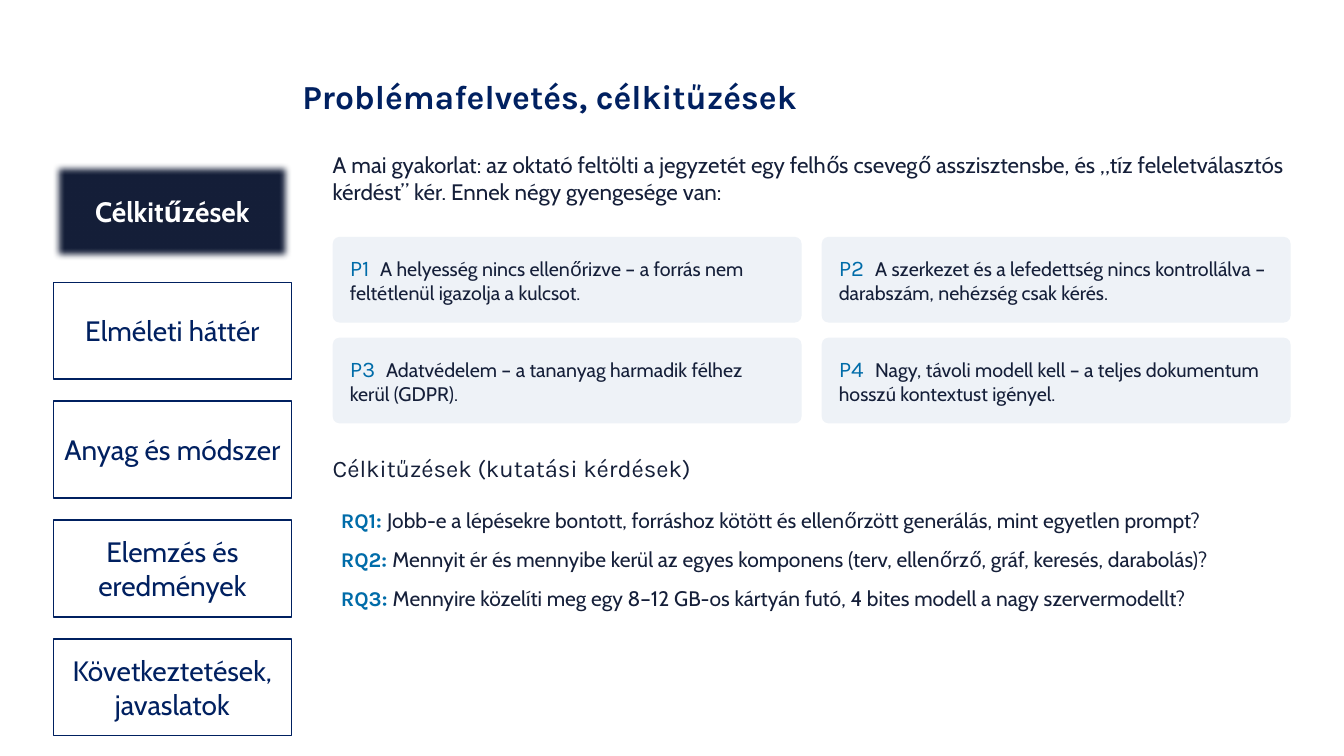
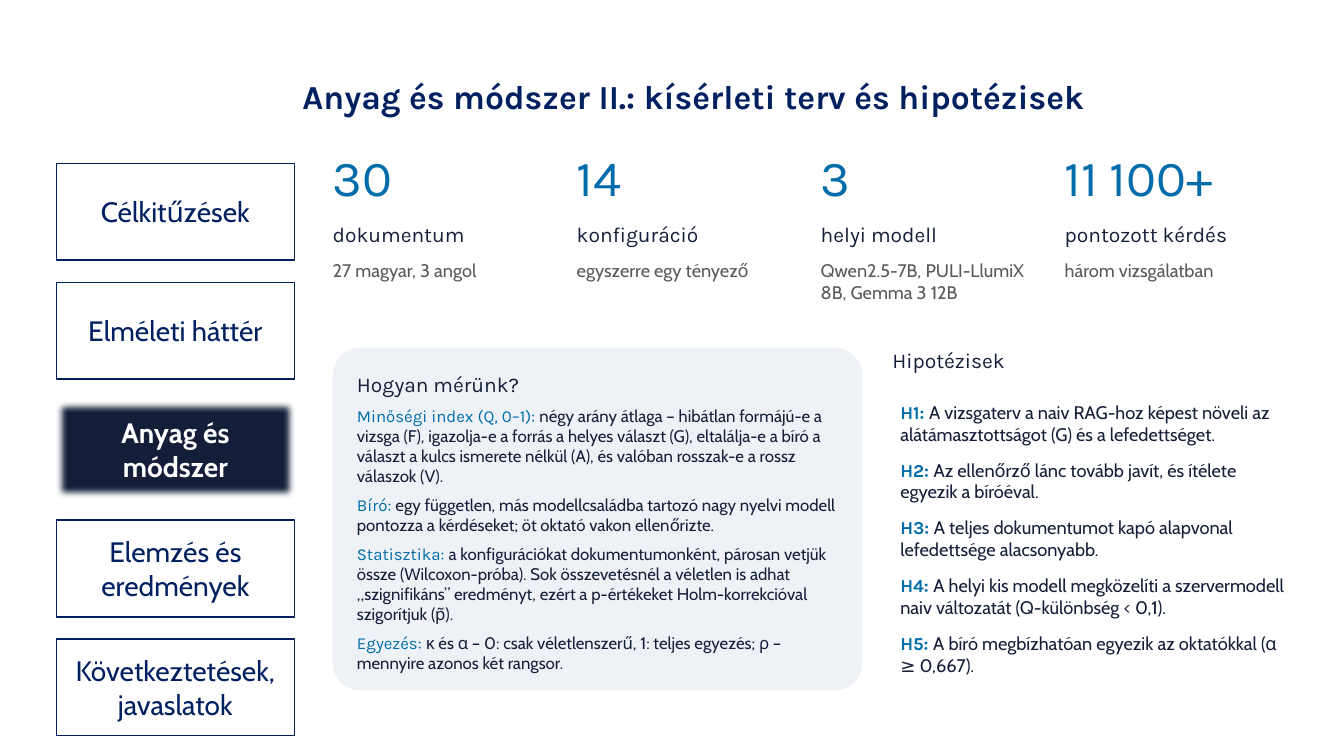
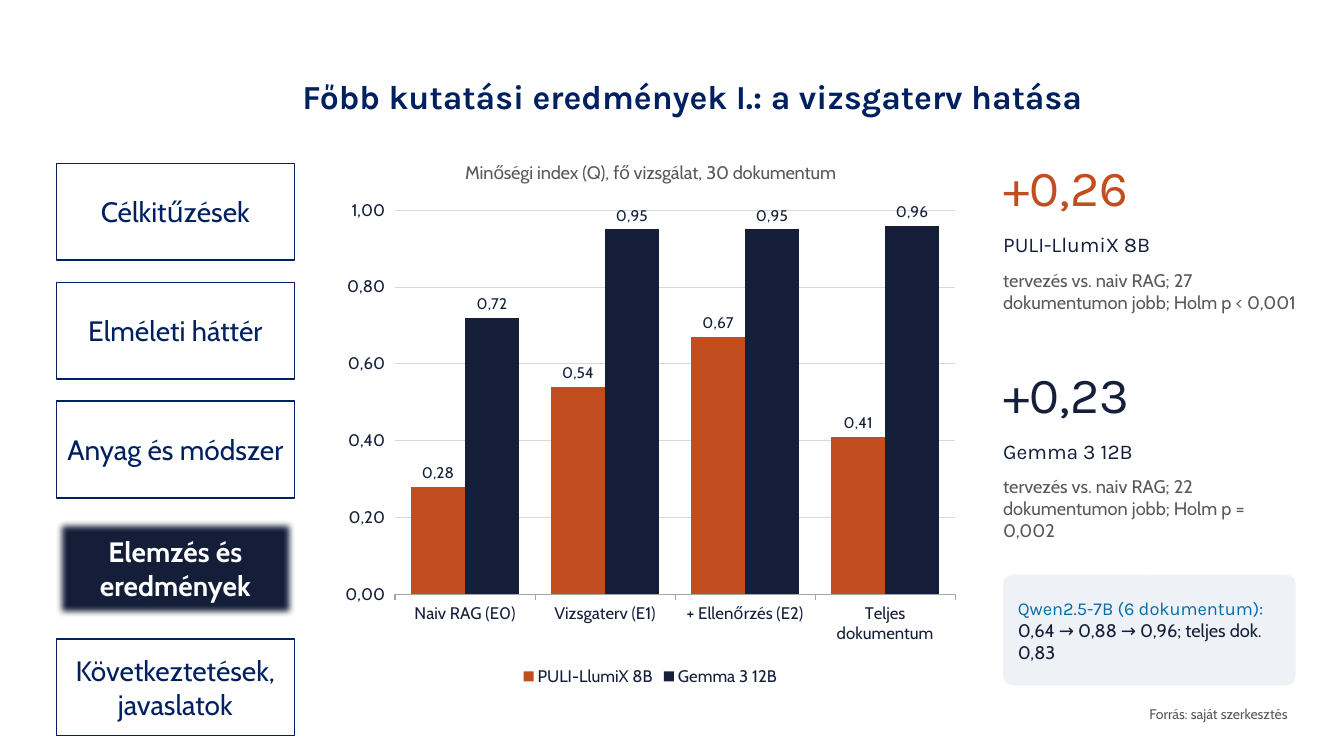
"""Build three slides of a Hungarian thesis talk on exam question generation."""
from lxml.etree import SubElement as Sub
from pptx import Presentation
from pptx.chart.data import CategoryChartData as Data
from pptx.dml.color import RGBColor as RGB
from pptx.enum.chart import XL_CHART_TYPE as Kind, XL_LABEL_POSITION as Spot
from pptx.enum.chart import XL_LEGEND_POSITION as Side, XL_TICK_MARK as Tick
from pptx.enum.shapes import MSO_SHAPE as Form
from pptx.enum.text import MSO_ANCHOR as Anchor, MSO_AUTO_SIZE as Fit, PP_ALIGN as Align
from pptx.oxml.ns import qn
from pptx.util import Inches, Pt

COLORS = {"navy": "002060", "ink": "151F39", "blue": "006CA9", "rust": "C24E1F",
          "gray": "595959", "pale": "EEF2F7", "white": "FFFFFF",
          "axis": "A5A5A5", "grid": "D9D9D9"}
HEAD, BODY = "Karla", "Cabin"
TABS = ["Célkitűzések", "Elméleti háttér", "Anyag és módszer",
        "Elemzés és eredmények", "Következtetések, javaslatok"]
NUM = '0","00'


def rgb(key):
    """Return the colour stored under a key."""
    return RGB.from_string(COLORS[key])


def style(font, color, **fmt):
    """Set the colour and format values of a font."""
    font.color.rgb = rgb(color)
    for key, val in fmt.items():
        setattr(font, key, val)


def part(text, size, color="ink", name=BODY, bold=False):
    """Describe one run of text."""
    return text, dict(size=Pt(size), color=color, name=name, bold=bold)


def pair(label, text, size, bold=False, big=None):
    """Describe a paragraph with a blue label in front."""
    return [part(label, big or size, "blue", HEAD, bold), part(text, size)]


class Deck:
    """Hold the presentation, its style and the current slide."""

    def __init__(self):
        """Start a wide presentation."""
        self.prs = Presentation()
        self.prs.slide_width, self.prs.slide_height = Inches(13.33), Inches(7.5)

    def start(self, title, now, left=0.56, layout=1):
        """Add a slide with its title and side tabs."""
        self.slide = self.prs.slides.add_slide(self.prs.slide_layouts[layout])
        head = self.slide.shapes.title
        self.place(head, 2.9, 0.76, 9.95, 0.5)
        self.label(head, [[part(title, 24, "navy", HEAD, True)]],
                   pad=0.1, anchor=Anchor.BOTTOM, after=0, space=0.9)
        for row, name in enumerate(TABS):
            self.tab(left, 1.62 + 1.18 * row, name, row == now)

    def place(self, shape, *box):
        """Move and size a shape."""
        for key, val in zip(("left", "top", "width", "height"), box):
            setattr(shape, key, Inches(val))

    def label(self, shape, paras, pad=0, anchor=Anchor.TOP, align=Align.LEFT,
              after=6, space=1, stop=None):
        """Fill a shape with paragraphs of runs."""
        frame = shape.text_frame
        vals = {"margin_" + side: Inches(pad) for side in ("left", "top", "right", "bottom")}
        vals.update(word_wrap=True, auto_size=Fit.NONE, vertical_anchor=anchor)
        for key, val in vals.items():
            setattr(frame, key, val)
        for num, runs in enumerate(paras):
            para = frame.add_paragraph() if num else frame.paragraphs[0]
            rules = dict(alignment=align, space_before=Pt(0), space_after=Pt(after),
                         line_spacing=space)
            for key, val in rules.items():
                setattr(para, key, val)
            prop = para._p.get_or_add_pPr()
            if shape.is_placeholder:
                prop.set("marL", "0")
                prop.set("indent", "0")
                Sub(prop, qn("a:buNone"))
            if stop:
                tabs = Sub(prop, qn("a:tabLst"))
                Sub(tabs, qn("a:tab"), pos=str(Inches(stop)), algn="l")
            for text, fmt in runs:
                run = para.add_run()
                run.text = text
                style(run.font, **fmt)

    def block(self, box, fill, curve, line=None):
        """Add a filled rounded rectangle."""
        shape = self.slide.shapes.add_shape(Form.ROUNDED_RECTANGLE, *map(Inches, box))
        shape.adjustments[0] = curve
        shape.shadow.inherit = False
        shape.fill.solid()
        shape.fill.fore_color.rgb = rgb(fill)
        if line:
            shape.line.color.rgb = rgb(line)
            shape.line.width = Pt(1)
        else:
            shape.line.fill.background()
        return shape

    def tab(self, left, top, name, live):
        """Add a side tab, dark and soft-edged when live."""
        fill, line, ink = ("ink", "ink", "white") if live else ("white", "navy", "navy")
        shape = self.block((left, top, 2.36, 0.96), fill, 0, line)
        if live:
            glow = shape._element.spPr.find(qn("a:effectLst"))
            Sub(glow, qn("a:softEdge"), rad=str(Pt(5)))
        self.label(shape, [[part(name, 20, ink, bold=live)]], pad=0.1 if live else 0,
                   anchor=Anchor.MIDDLE, align=Align.CENTER, after=0)

    def card(self, box, paras, pad, anchor=Anchor.MIDDLE, stop=None):
        """Add a pale card with text."""
        self.label(self.block(box, "pale", 0.08), paras, pad, anchor, stop=stop)

    def text(self, box, *runs, **opts):
        """Add a text box of one paragraph."""
        self.label(self.slide.shapes.add_textbox(*map(Inches, box)), [runs], **opts)

    def list(self, box, items, size):
        """Fill the body placeholder with labelled items."""
        body = self.slide.placeholders[1]
        self.place(body, *box)
        self.label(body, [pair(label, text, size, True) for label, text in items],
                   pad=0.08, after=10)

    def stat(self, left, top, width, value, name, note, color="blue"):
        """Add a big number with its name and note."""
        self.text((left, top, width, 0.75), part(value, 36, color, HEAD))
        self.text((left, top + 0.75, width, 0.4), part(name, 15, name=HEAD))
        self.text((left, top + 1.12, width, 0.8), part(note, 13, "gray"))

    def chart(self, box, title, cats, rows):
        """Add a clustered column chart."""
        data = Data(number_format=NUM)
        data.categories = cats
        for name, vals, _ in rows:
            data.add_series(name, vals)
        chart = self.slide.shapes.add_chart(
            Kind.COLUMN_CLUSTERED, *map(Inches, box), data).chart
        style(chart.font, "ink", size=Pt(12), name=BODY)
        chart.has_title = True
        chart.chart_title.include_in_layout = False
        para = chart.chart_title.text_frame.paragraphs[0]
        run = para.add_run()
        run.text = title
        style(run.font, "gray", size=Pt(13), name=BODY, bold=False)
        chart.has_legend = True
        chart.legend.position = Side.BOTTOM
        chart.legend.include_in_layout = False
        style(chart.legend.font, "ink", size=Pt(12), name=BODY)
        base, axis = chart.category_axis, chart.value_axis
        base.major_tick_mark = Tick.OUTSIDE
        scale = dict(minimum_scale=0, maximum_scale=100, major_unit=20,
                     major_tick_mark=Tick.OUTSIDE, has_major_gridlines=True)
        for key, val in scale.items():
            setattr(axis, key, val)
        axis.tick_labels.number_format = NUM
        axis.tick_labels.number_format_is_linked = False
        axis.format.line.fill.background()
        for line, color in ((base.format.line, "axis"),
                            (axis.major_gridlines.format.line, "grid")):
            line.color.rgb = rgb(color)
            line.width = Pt(0.75)
        plot = chart.plots[0]
        plot.gap_width = 60
        plot.vary_by_categories = False
        for bars, (_, _, color) in zip(plot.series, rows):
            bars.format.fill.solid()
            bars.format.fill.fore_color.rgb = rgb(color)
            marks = bars.data_labels
            opts = dict(show_value=True, position=Spot.OUTSIDE_END,
                        number_format=NUM, number_format_is_linked=False)
            for key, val in opts.items():
                setattr(marks, key, val)
            style(marks.font, "ink", size=Pt(11), name=BODY)


def goals(deck):
    """Build the slide on problems and goals."""
    deck.start("Problémafelvetés, célkitűzések", 0, left=0.53)
    deck.text((3.3, 1.5, 9.55, 0.75), part(
        "A mai gyakorlat: az oktató feltölti a jegyzetét egy felhős csevegő asszisztensbe, "
        "és „tíz feleletválasztós kérdést” kér. Ennek négy gyengesége van:", 16))
    flaws = ["A helyesség nincs ellenőrizve – a forrás nem feltétlenül igazolja a kulcsot.",
             "A szerkezet és a lefedettség nincs kontrollálva – darabszám, nehézség csak kérés.",
             "Adatvédelem – a tananyag harmadik félhez kerül (GDPR).",
             "Nagy, távoli modell kell – a teljes dokumentum hosszú kontextust igényel."]
    for num, flaw in enumerate(flaws):
        row, col = divmod(num, 2)
        deck.card((3.3 + 4.85 * col, 2.35 + row, 4.65, 0.85),
                  [pair(f"P{num + 1}\t", flaw, 14, big=16)], 0.15,
                  stop=0.36 if num else 0.3)
    deck.text((3.3, 4.5, 9.55, 0.45),
              part("Célkitűzések (kutatási kérdések)", 17, name=HEAD))
    deck.list((3.3, 4.95, 9.55, 2), [
        ("RQ1: ", "Jobb-e a lépésekre bontott, forráshoz kötött és ellenőrzött generálás, "
                  "mint egyetlen prompt?"),
        ("RQ2: ", "Mennyit ér és mennyibe kerül az egyes komponens "
                  "(terv, ellenőrző, gráf, keresés, darabolás)?"),
        ("RQ3: ", "Mennyire közelíti meg egy 8–12 GB-os kártyán futó, 4 bites modell "
                  "a nagy szervermodellt?")], 15)


def method(deck):
    """Build the slide on the plan and hypotheses."""
    deck.start("Anyag és módszer II.: kísérleti terv és hipotézisek", 2)
    stats = [("30", "dokumentum", "27 magyar, 3 angol"),
             ("14", "konfiguráció", "egyszerre egy tényező"),
             ("3", "helyi modell", "Qwen2.5-7B, PULI-LlumiX 8B, Gemma 3 12B"),
             ("11 100+", "pontozott kérdés", "három vizsgálatban")]
    for col, stat in enumerate(stats):
        deck.stat(3.3 + 2.42 * col, 1.45, 2.25, *stat)
    terms = [
        ("Minőségi index (Q, 0–1): ",
         "négy arány átlaga – hibátlan formájú-e a vizsga (F), igazolja-e a forrás a helyes "
         "választ (G), eltalálja-e a bíró a választ a kulcs ismerete nélkül (A), és valóban "
         "rosszak-e a rossz válaszok (V)."),
        ("Bíró: ",
         "egy független, más modellcsaládba tartozó nagy nyelvi modell pontozza a kérdéseket; "
         "öt oktató vakon ellenőrizte."),
        ("Statisztika: ",
         "a konfigurációkat dokumentumonként, párosan vetjük össze (Wilcoxon-próba). "
         "Sok összevetésnél a véletlen is adhat „szignifikáns” eredményt, ezért a p-értékeket "
         "Holm-korrekcióval szigorítjuk (p̃)."),
        ("Egyezés: ",
         "κ és α – 0: csak véletlenszerű, 1: teljes egyezés; "
         "ρ – mennyire azonos két rangsor.")]
    deck.card((3.3, 3.45, 5.25, 3.4),
              [[part("Hogyan mérünk?", 15, name=HEAD)]]
              + [pair(label, text, 12) for label, text in terms], 0.16, Anchor.TOP)
    deck.text((8.85, 3.45, 4, 0.4), part("Hipotézisek", 15, name=HEAD))
    deck.list((8.85, 3.9, 4, 2.95), [
        ("H1: ", "A vizsgaterv a naiv RAG-hoz képest növeli az alátámasztottságot (G) "
                 "és a lefedettséget."),
        ("H2: ", "Az ellenőrző lánc tovább javít, és ítélete egyezik a bíróéval."),
        ("H3: ", "A teljes dokumentumot kapó alapvonal lefedettsége alacsonyabb."),
        ("H4: ", "A helyi kis modell megközelíti a szervermodell naiv változatát "
                 "(Q-különbség < 0,1)."),
        ("H5: ", "A bíró megbízhatóan egyezik az oktatókkal (α ≥ 0,667).")], 13)


def results(deck):
    """Build the slide on the main results."""
    deck.start("Főbb kutatási eredmények I.: a vizsgaterv hatása", 3, layout=5)
    deck.chart((3.3, 1.4, 6.3, 5.45), "Minőségi index (Q), fő vizsgálat, 30 dokumentum",
               ["Naiv RAG (E0)", "Vizsgaterv (E1)", "+ Ellenőrzés (E2)", "Teljes dokumentum"],
               [("PULI-LlumiX 8B", (28, 54, 67, 41), "rust"),
                ("Gemma 3 12B", (72, 95, 95, 96), "ink")])
    gains = [("+0,26", "PULI-LlumiX 8B", "27", "< 0,001", "rust"),
             ("+0,23", "Gemma 3 12B", "22", "= 0,002", "ink")]
    for row, (value, name, docs, prob, color) in enumerate(gains):
        note = f"tervezés vs. naiv RAG; {docs} dokumentumon jobb; Holm p {prob}"
        deck.stat(9.95, 1.55 + 2.05 * row, 2.9, value, name, note, color)
    deck.card((9.95, 5.7, 2.9, 1.1), [pair(
        "Qwen2.5-7B (6 dokumentum): ", "0,64 → 0,88 → 0,96; teljes dok. 0,83", 13)], 0.12)
    deck.text((9.6, 6.92, 3.25, 0.35), part("Forrás: saját szerkesztés", 10, "gray"),
              pad=0.08, align=Align.RIGHT)


def main():
    """Build and save the slides."""
    deck = Deck()
    for build in (goals, method, results):
        build(deck)
    deck.prs.save("out.pptx")


if __name__ == "__main__":
    main()
